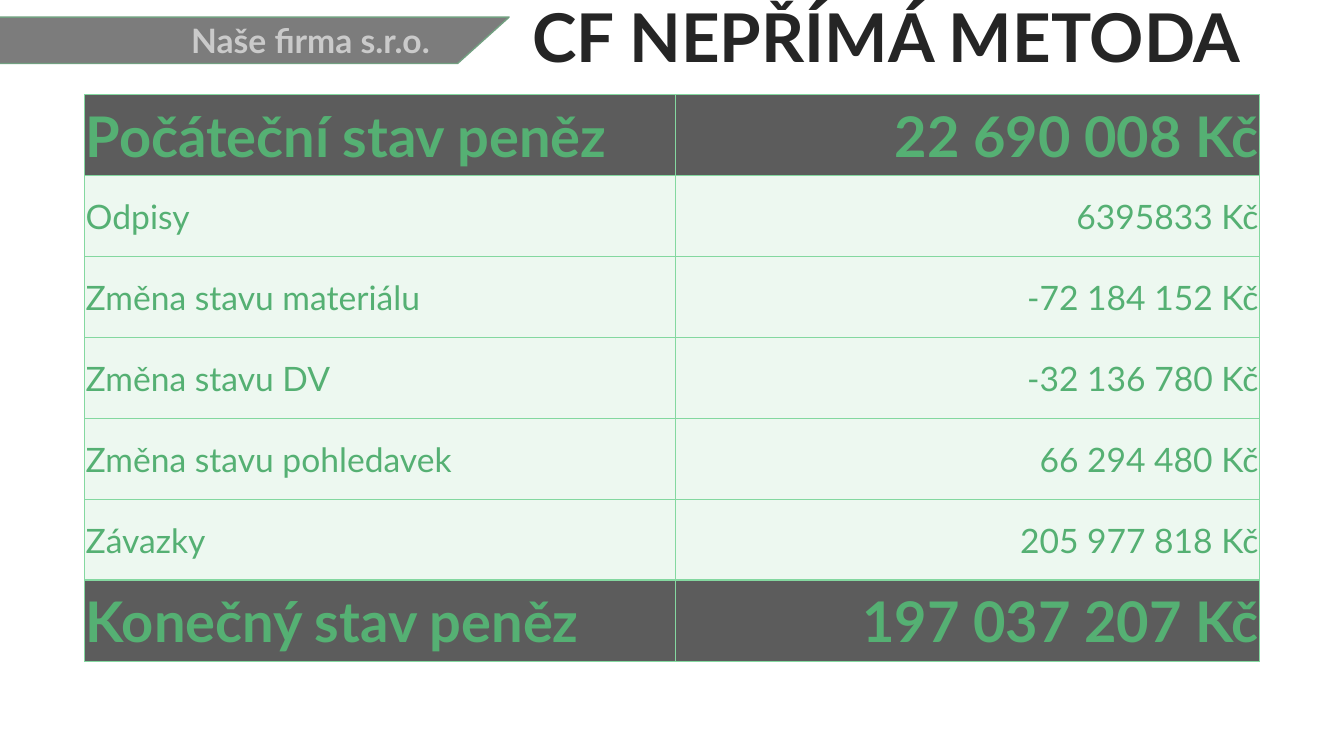
from lxml.etree import SubElement
from pptx import Presentation
from pptx.dml.color import RGBColor
from pptx.enum.shapes import MSO_SHAPE as Shape
from pptx.enum.text import MSO_ANCHOR as Anchor, MSO_AUTO_SIZE as AutoSize, PP_ALIGN as Align
from pptx.oxml.ns import qn
from pptx.util import Inches, Pt

FONT = "Lato"
DARK, GREEN, BORDER = "252525", "55B073", "84D8A0"
TOTAL_FILL, ITEM_FILL = "5C5C5C", "EDF8F0"

CASH_FLOW = [
    ("Počáteční stav peněz", "22 690 008 Kč"),
    ("Odpisy", "6395833 Kč"),
    ("Změna stavu materiálu", "-72 184 152 Kč"),
    ("Změna stavu DV", "-32 136 780 Kč"),
    ("Změna stavu pohledavek", "66 294 480 Kč"),
    ("Závazky", "205 977 818 Kč"),
    ("Konečný stav peněz", "197 037 207 Kč"),
]


def paint(color_format, color):
    color_format.rgb = RGBColor.from_string(color)


def fill_solid(fill, color, alpha=None):
    fill.solid()
    paint(fill.fore_color, color)
    if alpha is not None:
        add_alpha(fill, alpha)


def add_alpha(fill, percent):
    color_element = fill._xPr.find(qn("a:solidFill"))[0]
    SubElement(color_element, qn("a:alpha"), val=str(percent * 1000))


def write(frame, text, size, color, bold, align, alpha=None):
    frame.text = text
    paragraph = frame.paragraphs[0]
    paragraph.alignment = align
    font = paragraph.runs[0].font
    font.name, font.size, font.bold = FONT, Pt(size), bold
    fill_solid(font.fill, color, alpha)
    return paragraph


def add_company_band(slide):
    band = slide.shapes.add_shape(
        Shape.PARALLELOGRAM, Inches(-0.65), Inches(0.17), Inches(5.7), Inches(0.46))
    band.adjustments[0] = 1.11
    band.shadow.inherit = False
    fill_solid(band.fill, DARK, 60)
    paint(band.line.color, "72A081")
    band.line.width = Pt(1)
    band.text_frame.vertical_anchor = Anchor.MIDDLE
    write(band.text_frame, "Naše firma s.r.o.", 24, "FFFFFF", True, Align.RIGHT, 60)


def set_title(slide, text):
    title = slide.shapes.title
    title.left, title.top = Inches(5.18), Inches(-0.07)
    title.width, title.height = Inches(7.91), Inches(0.94)
    frame = title.text_frame
    frame.word_wrap = True
    frame.auto_size = AutoSize.NONE
    frame.vertical_anchor = Anchor.MIDDLE
    write(frame, text, 48, DARK, True, Align.LEFT).line_spacing = 0.9


def set_borders(cell, top_width):
    properties = cell._tc.get_or_add_tcPr()
    widths = {"lnL": 1, "lnR": 1, "lnT": top_width, "lnB": 1}
    for position, (side, width) in enumerate(widths.items()):
        line = SubElement(properties, qn(f"a:{side}"), w=str(Pt(width)))
        SubElement(SubElement(line, qn("a:solidFill")), qn("a:srgbClr"), val=BORDER)
        properties.insert(position, line)


def format_cell(cell, text, align, is_total, top_width):
    cell.margin_left = cell.margin_right = cell.margin_top = Inches(0.01)
    cell.margin_bottom = 0
    cell.vertical_anchor = Anchor.MIDDLE
    fill_solid(cell.fill, TOTAL_FILL if is_total else ITEM_FILL)
    write(cell.text_frame, text, 40 if is_total else 24, GREEN, is_total, align)
    set_borders(cell, top_width)


def add_cash_flow_table(slide):
    last = len(CASH_FLOW) - 1
    table = slide.shapes.add_table(
        len(CASH_FLOW), 2, Inches(0.84), Inches(0.94), Inches(11.65), Inches(5.62)).table
    for column, width in zip(table.columns, (5.86, 5.79)):
        column.width = Inches(width)
    for row, entry in enumerate(CASH_FLOW):
        for column, (text, align) in enumerate(zip(entry, (Align.LEFT, Align.RIGHT))):
            format_cell(table.cell(row, column), text, align,
                        row in (0, last), 2 if row == last else 1)


def main():
    deck = Presentation()
    deck.slide_width, deck.slide_height = Inches(13.33), Inches(7.5)
    slide = deck.slides.add_slide(deck.slide_layouts[5])
    add_company_band(slide)
    set_title(slide, "CF NEPŘÍMÁ METODA")
    add_cash_flow_table(slide)
    deck.save("out.pptx")


if __name__ == "__main__":
    main()
